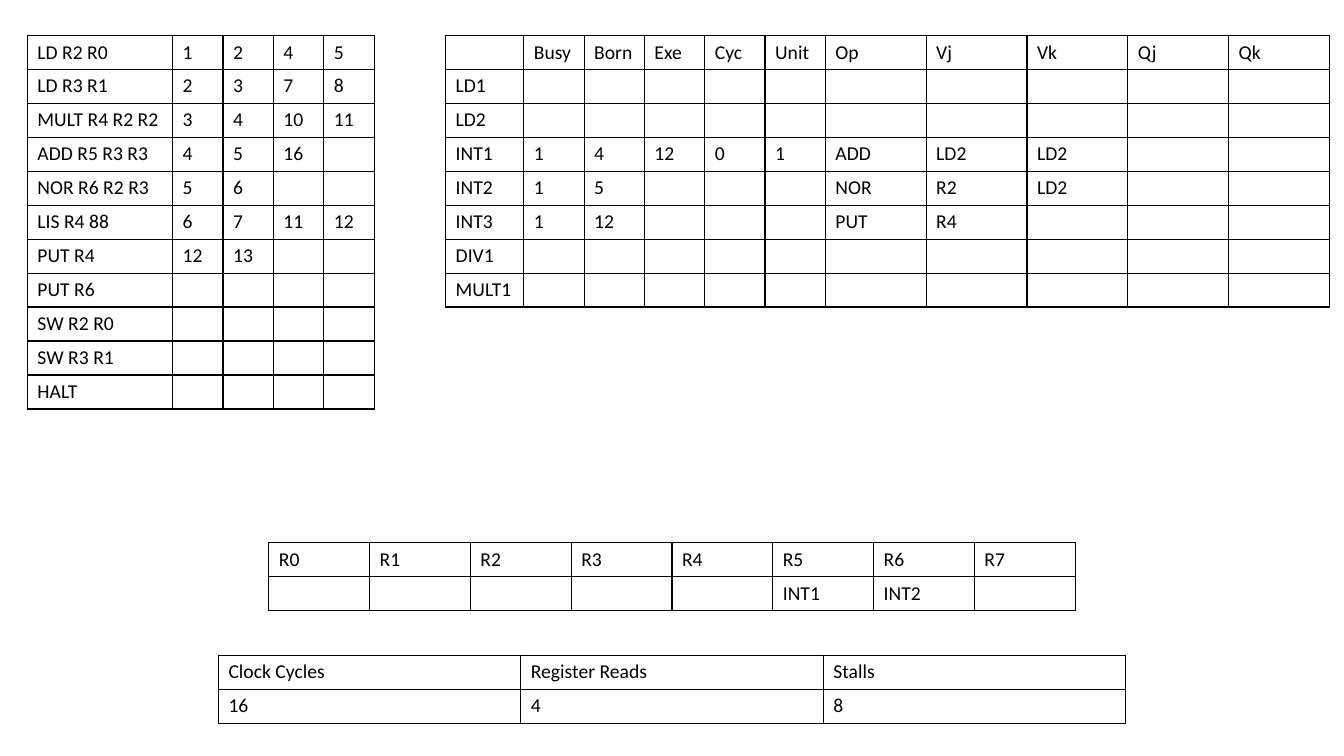
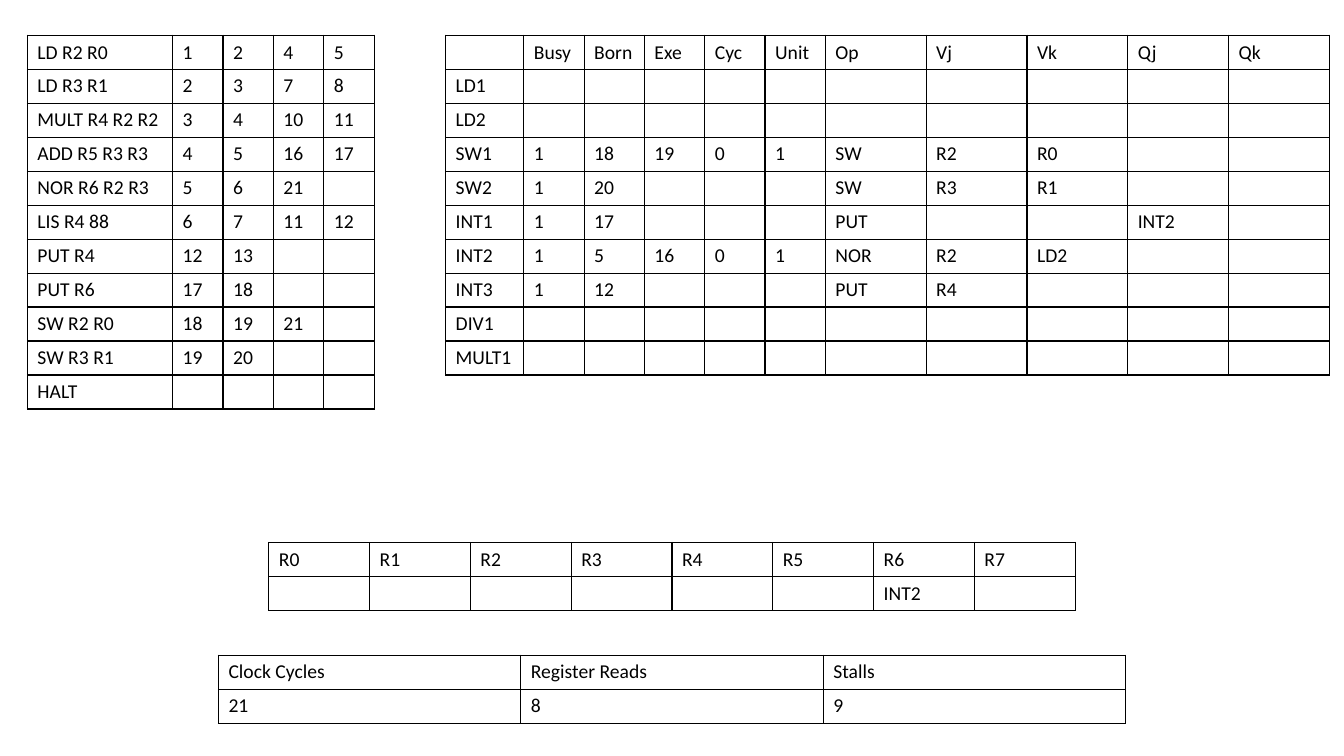
from lxml import etree
from pptx import Presentation
from pptx.dml.color import RGBColor
from pptx.oxml.ns import qn
from pptx.util import Cm, Pt

# Shared style
FONT = "Calibri"
SIZE = 14
INK = "000000"
BORDER = Pt(1)
ROW_H = 0.85
SLIDE_W, SLIDE_H = 33.87, 19.05
MARGIN, TOP = 0.69, 0.89
BLANK = 6

# Text that both slides share
INSTRUCTIONS = ["LD R2 R0", "LD R3 R1", "MULT R4 R2 R2", "ADD R5 R3 R3",
                "NOR R6 R2 R3", "LIS R4 88", "PUT R4", "PUT R6",
                "SW R2 R0", "SW R3 R1", "HALT"]
STATION_HEAD = ["", "Busy", "Born", "Exe", "Cyc", "Unit",
                "Op", "Vj", "Vk", "Qj", "Qk"]
REGISTERS = [f"R{i}" for i in range(8)]
COUNTERS = ["Clock Cycles", "Register Reads", "Stalls"]

# State of the machine on each slide
STATES = [
    {
        "times": [[1, 2, 4, 5], [2, 3, 7, 8], [3, 4, 10, 11], [4, 5, 16],
                  [5, 6], [6, 7, 11, 12], [12, 13], [], [], [], []],
        "stations": [
            ["LD1"],
            ["LD2"],
            ["INT1", 1, 4, 12, 0, 1, "ADD", "LD2", "LD2"],
            ["INT2", 1, 5, "", "", "", "NOR", "R2", "LD2"],
            ["INT3", 1, 12, "", "", "", "PUT", "R4"],
            ["DIV1"],
            ["MULT1"],
        ],
        "owners": {"R5": "INT1", "R6": "INT2"},
        "counts": [16, 4, 8],
    },
    {
        "times": [[1, 2, 4, 5], [2, 3, 7, 8], [3, 4, 10, 11], [4, 5, 16, 17],
                  [5, 6, 21], [6, 7, 11, 12], [12, 13], [17, 18],
                  [18, 19, 21], [19, 20], []],
        "stations": [
            ["LD1"],
            ["LD2"],
            ["SW1", 1, 18, 19, 0, 1, "SW", "R2", "R0"],
            ["SW2", 1, 20, "", "", "", "SW", "R3", "R1"],
            ["INT1", 1, 17, "", "", "", "PUT", "", "", "INT2"],
            ["INT2", 1, 5, 16, 0, 1, "NOR", "R2", "LD2"],
            ["INT3", 1, 12, "", "", "", "PUT", "R4"],
            ["DIV1"],
            ["MULT1"],
        ],
        "owners": {"R6": "INT2"},
        "counts": [21, 8, 9],
    },
]


def rgb(hex_color):
    return RGBColor.from_string(hex_color)


def set_borders(cell):
    tc_pr = cell._tc.get_or_add_tcPr()
    for i, side in enumerate(("a:lnL", "a:lnR", "a:lnT", "a:lnB")):
        ln = etree.Element(qn(side), w=str(BORDER))
        fill = etree.SubElement(ln, qn("a:solidFill"))
        etree.SubElement(fill, qn("a:srgbClr"), val=INK)
        tc_pr.insert(i, ln)


def fill_cell(cell, value):
    cell.fill.background()
    set_borders(cell)
    p = cell.text_frame.paragraphs[0]
    if value == "":
        # Keeps an empty row as low as a filled one
        end = etree.SubElement(p._p, qn("a:endParaRPr"), sz=str(SIZE * 100))
        etree.SubElement(end, qn("a:latin"), typeface=FONT)
        return
    r = p.add_run()
    r.text = str(value)
    r.font.name = FONT
    r.font.size = Pt(SIZE)
    r.font.color.rgb = rgb(INK)


def add_grid(slide, left, top, widths, rows):
    """Table with thin borders; short rows end in empty cells."""
    frame = slide.shapes.add_table(len(rows), len(widths), Cm(left), Cm(top),
                                   Cm(sum(widths)), Cm(ROW_H * len(rows)))
    table = frame.table
    table.first_row = table.horz_banding = False
    for column, width in zip(table.columns, widths):
        column.width = Cm(width)
    for i, values in enumerate(rows):
        table.rows[i].height = Cm(ROW_H)
        padded = values + [""] * (len(widths) - len(values))
        for j, value in enumerate(padded):
            fill_cell(table.cell(i, j), value)


def add_centred_grid(slide, top, widths, rows):
    add_grid(slide, (SLIDE_W - sum(widths)) / 2, top, widths, rows)


# Regions
def add_instructions(slide, left, top, times):
    rows = [[name] + cycles for name, cycles in zip(INSTRUCTIONS, times)]
    add_grid(slide, left, top, [3.66] + [1.27] * 4, rows)


def add_stations(slide, left, top, stations):
    widths = [1.97] + [1.52] * 5 + [2.54] * 5
    add_grid(slide, left, top, widths, [STATION_HEAD] + stations)


def add_registers(slide, top, owners):
    row = [owners.get(name, "") for name in REGISTERS]
    add_centred_grid(slide, top, [2.54] * len(REGISTERS), [REGISTERS, row])


def add_counters(slide, top, counts):
    add_centred_grid(slide, top, [7.62] * len(COUNTERS), [COUNTERS, counts])


def add_state_slide(prs, state):
    s = prs.slides.add_slide(prs.slide_layouts[BLANK])
    add_instructions(s, MARGIN, TOP, state["times"])
    add_stations(s, 11.23, TOP, state["stations"])
    add_registers(s, 13.67, state["owners"])
    add_counters(s, 16.51, state["counts"])


def main():
    prs = Presentation()
    prs.slide_width, prs.slide_height = Cm(SLIDE_W), Cm(SLIDE_H)
    for state in STATES:
        add_state_slide(prs, state)
    prs.save("out.pptx")


if __name__ == "__main__":
    main()
